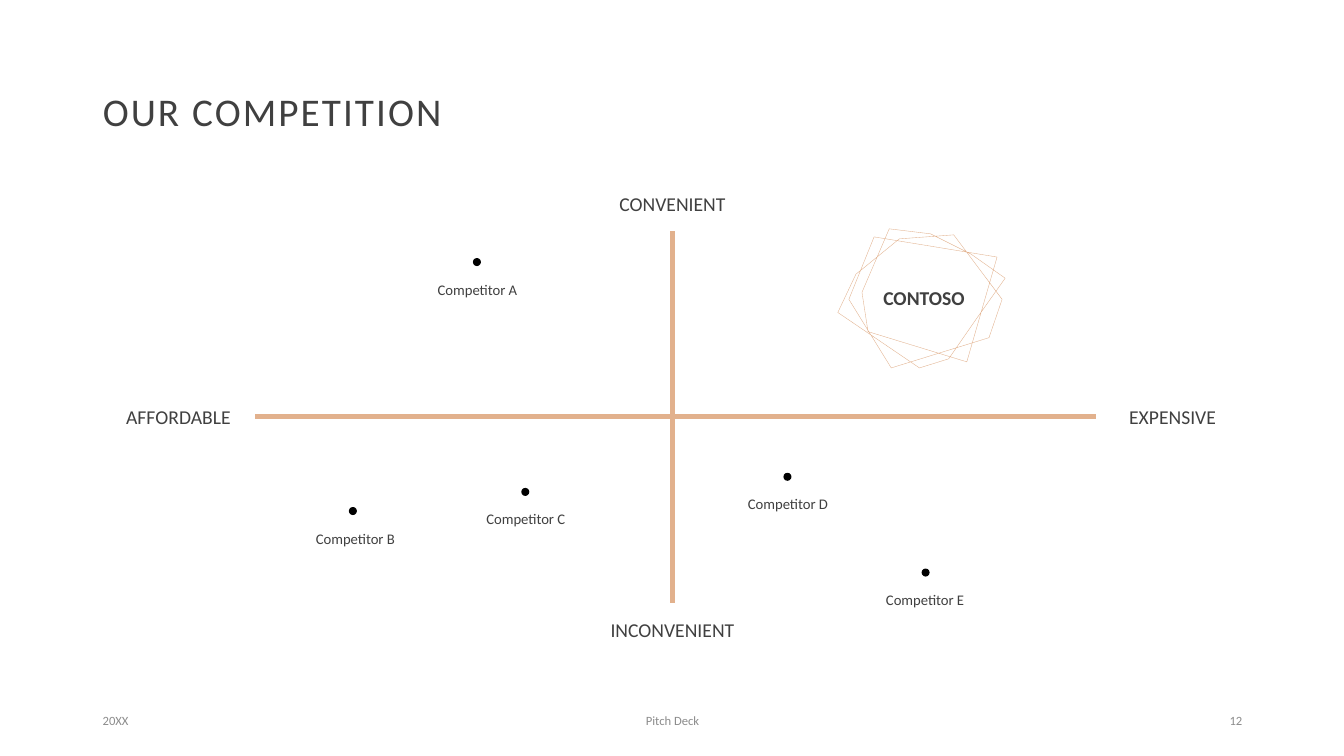
"""Build a competition slide: a two-axis map with five competitors."""
from lxml import etree
from pptx import Presentation
from pptx.dml.color import RGBColor
from pptx.enum.shapes import MSO_CONNECTOR, MSO_SHAPE
from pptx.enum.text import MSO_ANCHOR, MSO_AUTO_SIZE, PP_ALIGN
from pptx.oxml.ns import qn
from pptx.util import Inches, Pt

STRAIGHT = MSO_CONNECTOR.STRAIGHT
OVAL = MSO_SHAPE.OVAL
MIDDLE = MSO_ANCHOR.MIDDLE
NO_FIT = MSO_AUTO_SIZE.NONE
LEFT, CENTER, RIGHT = PP_ALIGN.LEFT, PP_ALIGN.CENTER, PP_ALIGN.RIGHT

FONT = "Calibri"
COLORS = {"text": "404040", "footer": "8C8C8C", "accent": "E2B18D", "dot": "000000"}
TITLE_BOX = (0.92, 0.4, 11.5, 1.45)
MAP_BOX = (2.53, 2.29, 8.34, 3.69)
BRAND_BOX = (8.31, 2.27, 1.66, 1.39)
FOOTER_BOX = (0.92, 6.95, 11.5, 0.4)
LABEL_HEIGHT = 0.54
COMPETITOR_WIDTH = 1.29
DOT_SIZE = 0.08

# Label left and top, then dot left, all relative to the map box.
COMPETITORS = {
    "Competitor A": (1.56, 0.31, 2.16),
    "Competitor B": (0.35, 2.78, 0.93),
    "Competitor C": (2.04, 2.59, 2.64),
    "Competitor D": (4.64, 2.44, 5.24),
    "Competitor E": (6.0, 3.39, 6.61),
}
BRAND_OUTLINE = [
    (0.61, 0.1), (0.23, 0.41), (0.18, 0.45), (0, 0.83), (0.81, 1.38), (1.1, 1.29),
    (1.37, 0.9), (1.66, 0.49), (1.32, 0.25), (0.92, 0.05), (0.51, 0), (0.24, 0.63),
    (0.3, 1.02), (1.28, 1.32), (1.58, 0.28), (0.36, 0.08), (0.11, 0.7), (0.53, 1.38),
    (1.5, 1.08), (1.63, 0.7), (1.15, 0.06),
]


def color(name):
    """Return the named colour."""
    return RGBColor.from_string(COLORS[name])


def write(shape, text, size, align=CENTER, bold=False, tint="text"):
    """Fill a shape with one formatted paragraph and return its run."""
    frame = shape.text_frame
    frame.text = text
    frame.word_wrap = True
    frame.auto_size = NO_FIT
    frame.vertical_anchor = MIDDLE
    para = frame.paragraphs[0]
    para.alignment = align
    span = para.runs[0]
    span.font.name = FONT
    span.font.size = Pt(size)
    span.font.bold = bold
    span.font.color.rgb = color(tint)
    return span


def add_label(page, box, text, size=14, **style):
    """Add a text box holding one label."""
    return write(page.shapes.add_textbox(*map(Inches, box)), text, size, **style)


def add_title(page, box, text):
    """Place the title placeholder in its box with spaced letters."""
    title = page.shapes.title
    title.left, title.top, title.width, title.height = map(Inches, box)
    span = write(title, text, 28, LEFT)
    span.font._element.set("spc", "150")
    title.text_frame.paragraphs[0].line_spacing = 0.9


def add_axis(page, *ends):
    """Draw one axis line without a shadow."""
    axis = page.shapes.add_connector(STRAIGHT, *map(Inches, ends))
    axis.line.color.rgb = color("accent")
    axis.line.width = Pt(3.5)
    etree.SubElement(axis._element.spPr, qn("a:effectLst"))


def add_competitor(page, left, top, dot_left, name):
    """Add a competitor's name below its dot."""
    add_label(page, (left, top, COMPETITOR_WIDTH, LABEL_HEIGHT), name, 10.5)
    place = (dot_left, top - 0.04, DOT_SIZE, DOT_SIZE)
    dot = page.shapes.add_shape(OVAL, *map(Inches, place))
    dot.shadow.inherit = False
    dot.fill.solid()
    dot.fill.fore_color.rgb = color("dot")
    dot.line.fill.background()


def add_map(page, box):
    """Draw the axes, their end labels and the competitors."""
    left, top, width, height = box
    right, bottom = left + width, top + height
    center, middle = left + width / 2 - 0.03, top + height / 2
    add_axis(page, left, middle, right, middle)
    add_axis(page, center, bottom, center, top)
    label_top = middle - LABEL_HEIGHT / 2
    for text, x, y, label_width in (
        ("CONVENIENT", center - 0.935, top - LABEL_HEIGHT, 1.87),
        ("INCONVENIENT", center - 0.935, bottom, 1.87),
        ("AFFORDABLE", left - 1.52, label_top, 1.52),
        ("EXPENSIVE", right, label_top, 1.52),
    ):
        add_label(page, (x, y, label_width, LABEL_HEIGHT), text)
    for name, (x, y, dot_x) in COMPETITORS.items():
        add_competitor(page, left + x, top + y, left + dot_x, name)


def add_brand(page, box, name):
    """Draw the crossing outline around the brand name."""
    left, top, width, height = box
    points = [(Inches(left + x), Inches(top + y)) for x, y in BRAND_OUTLINE]
    builder = page.shapes.build_freeform(*points[0])
    builder.add_line_segments(points[1:], close=True)
    outline = builder.convert_to_shape()
    outline.shadow.inherit = False
    outline.fill.background()
    outline.line.color.rgb = color("accent")
    outline.line.width = Pt(0.25)
    add_label(page, (left, top, width + 0.05, height - 0.03), name, bold=True)


def add_footer(page, box, texts):
    """Spread the date, deck name and page number over the footer."""
    for text, align in zip(texts, (LEFT, CENTER, RIGHT)):
        add_label(page, box, text, 9, align=align, tint="footer")


def main():
    """Build and save the deck."""
    deck = Presentation()
    deck.slide_width, deck.slide_height = Inches(13.33), Inches(7.5)
    page = deck.slides.add_slide(deck.slide_layouts[5])
    add_title(page, TITLE_BOX, "OUR COMPETITION")
    add_map(page, MAP_BOX)
    add_brand(page, BRAND_BOX, "CONTOSO")
    left, top, width, height = FOOTER_BOX
    add_footer(page, (left, top, width, height), ("20XX", "Pitch Deck", "12"))
    deck.save("out.pptx")


main()
